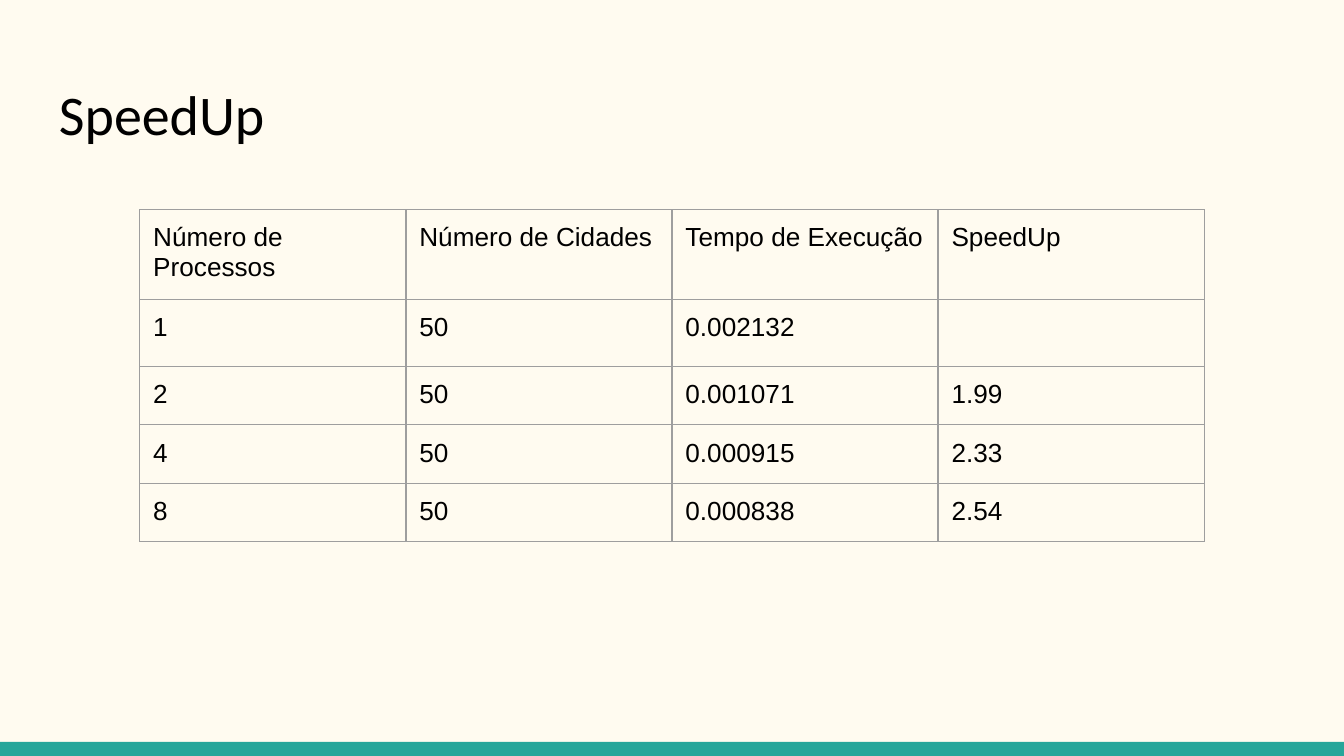
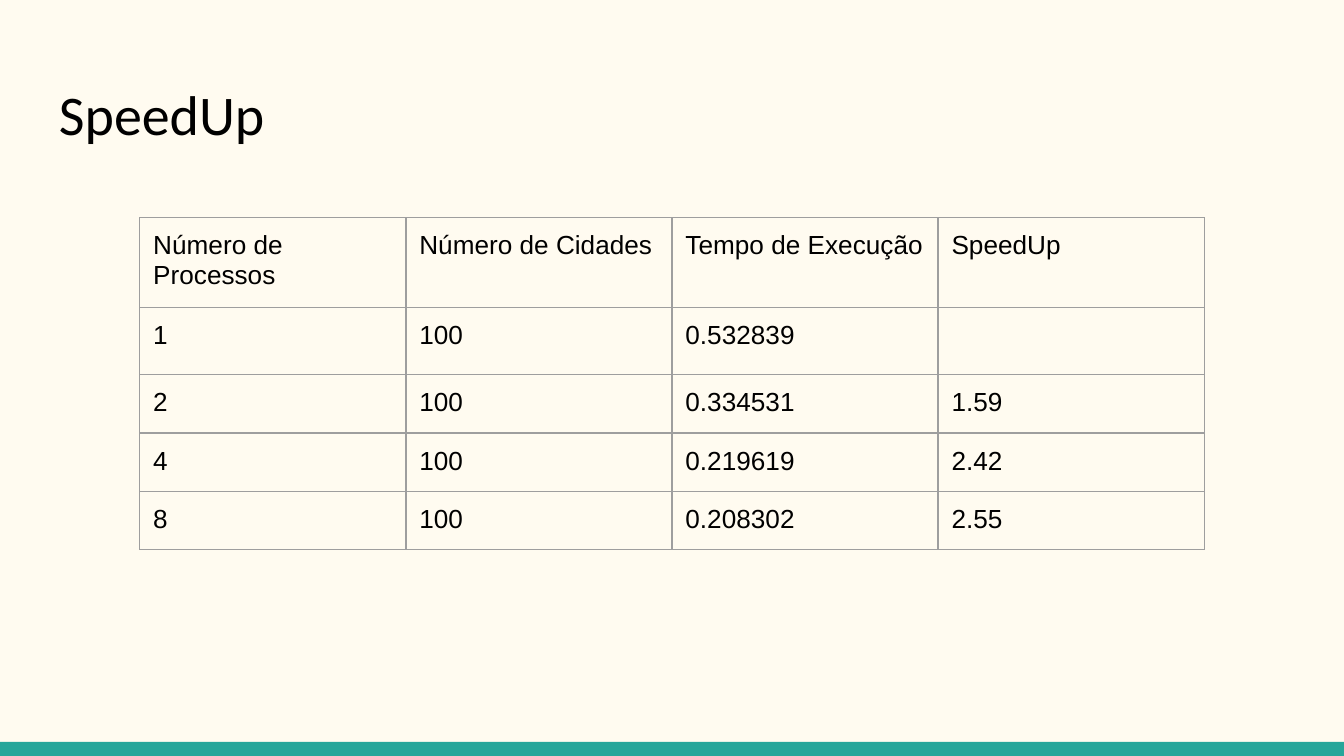
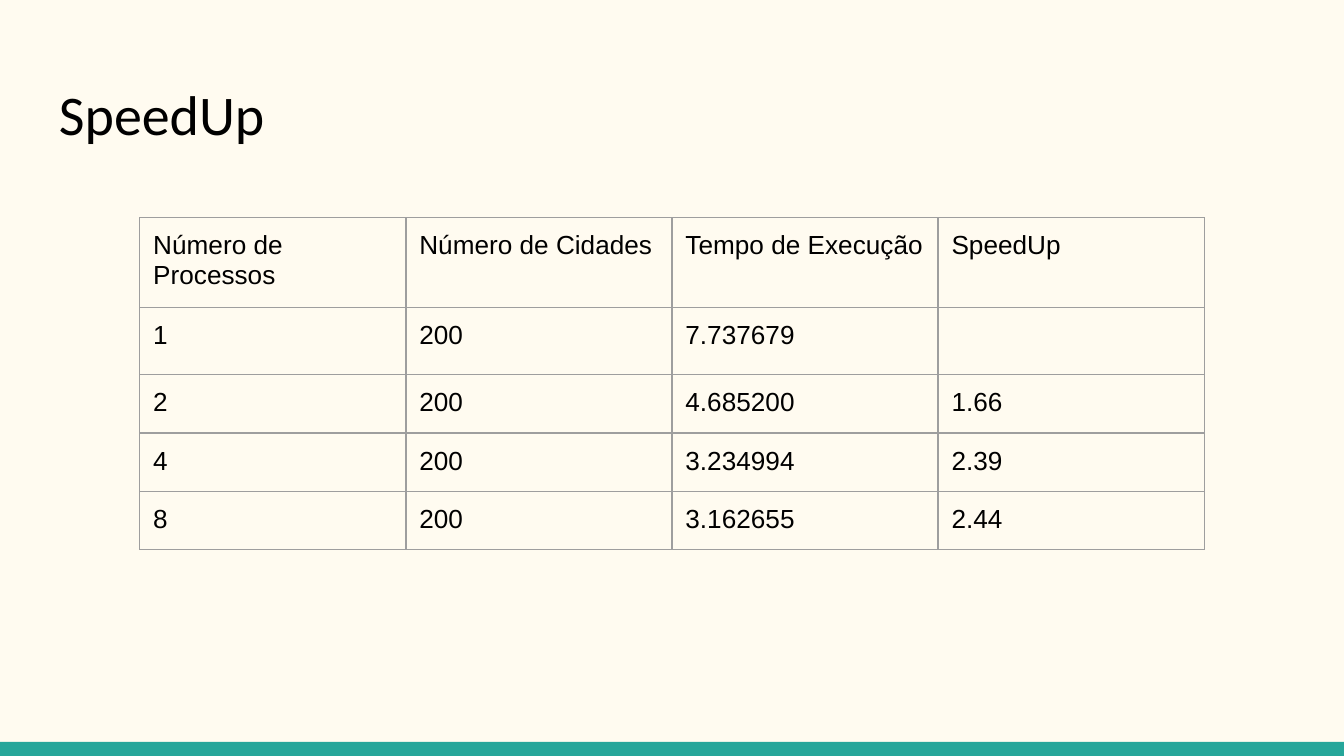
import pptx
import pptx.dml.color
import pptx.enum.shapes
import pptx.enum.text
import pptx.oxml
import pptx.oxml.ns
import pptx.util

Inches = pptx.util.Inches
RGBColor = pptx.dml.color.RGBColor

CREAM = RGBColor(0xFF, 0xFB, 0xF0)
TEAL = RGBColor(0x26, 0xA6, 0x9A)
GREY = RGBColor(0x9E, 0x9E, 0x9E)
BLACK = RGBColor(0, 0, 0)

SLIDE_WIDTH = Inches(10)
SLIDE_HEIGHT = SLIDE_WIDTH * 9 // 16
BAND_TOP = Inches(5.52)
MARGIN = Inches(0.1)
COLUMN_WIDTH = Inches(1.98)
ROW_HEIGHT = Inches(0.42)
BORDER_WIDTH = pptx.util.Pt(0.75)

HEADERS = ("Número de Processos", "Número de Cidades", "Tempo de Execução", "SpeedUp")
PROCESSES = ("1", "2", "4", "8")
RESULTS = (
    (1.56, "50", ("0.002132", "0.001071", "0.000915", "0.000838"), ("", "1.99", "2.33", "2.54")),
    (1.62, "100", ("0.532839", "0.334531", "0.219619", "0.208302"), ("", "1.59", "2.42", "2.55")),
    (1.62, "200", ("7.737679", "4.685200", "3.234994", "3.162655"), ("", "1.66", "2.39", "2.44")),
)


def write_text(frame, text, font="Arial", size=14, color=BLACK):
    frame.word_wrap = True
    paragraph = frame.paragraphs[0]
    paragraph.line_spacing = 1.0
    paragraph.space_before = paragraph.space_after = pptx.util.Pt(0)
    paragraph.font.name = font
    if text:
        run = paragraph.add_run()
        run.text = text
        run.font.name = font
        run.font.size = pptx.util.Pt(size)
        run.font.color.rgb = color


def set_margins(target):
    target.margin_left = target.margin_right = MARGIN
    target.margin_top = target.margin_bottom = MARGIN


def add_band(slide):
    band = slide.shapes.add_shape(
        pptx.enum.shapes.MSO_SHAPE.RECTANGLE,
        0, BAND_TOP, SLIDE_WIDTH, SLIDE_HEIGHT - BAND_TOP,
    )
    band.shadow.inherit = False
    band.fill.solid()
    band.fill.fore_color.rgb = TEAL
    band.line.fill.background()


def add_title(slide, text):
    title = slide.shapes.add_textbox(Inches(0.34), Inches(0.49), Inches(9.32), Inches(0.67))
    frame = title.text_frame
    set_margins(frame)
    frame.vertical_anchor = pptx.enum.text.MSO_ANCHOR.TOP
    write_text(frame, text, font="Calibri", size=30)


def add_borders(cell):
    properties = cell._tc.get_or_add_tcPr()
    for side in ("lnL", "lnR", "lnT", "lnB"):
        properties.append(pptx.oxml.parse_xml(
            f'<a:{side} {pptx.oxml.ns.nsdecls("a")} w="{BORDER_WIDTH}">'
            f'<a:solidFill><a:srgbClr val="{GREY}"/></a:solidFill></a:{side}>'
        ))


def add_results_table(slide, top, rows):
    table = slide.shapes.add_table(
        len(rows), len(HEADERS), Inches(1.04), Inches(top),
        COLUMN_WIDTH * len(HEADERS), ROW_HEIGHT * len(rows),
    ).table
    table.first_row = False
    table.horz_banding = False
    for row_index, row in enumerate(rows):
        for column_index, text in enumerate(row):
            cell = table.cell(row_index, column_index)
            set_margins(cell)
            add_borders(cell)
            cell.fill.background()
            write_text(cell.text_frame, text)


def add_speedup_slide(presentation, top, cities, times, speedups):
    slide = presentation.slides.add_slide(presentation.slide_layouts[6])
    slide.background.fill.solid()
    slide.background.fill.fore_color.rgb = CREAM
    add_band(slide)
    add_title(slide, "SpeedUp")
    measurements = [
        (processes, cities, time, speedup)
        for processes, time, speedup in zip(PROCESSES, times, speedups)
    ]
    add_results_table(slide, top, [HEADERS, *measurements])


def main():
    presentation = pptx.Presentation()
    presentation.slide_width = SLIDE_WIDTH
    presentation.slide_height = SLIDE_HEIGHT
    for top, cities, times, speedups in RESULTS:
        add_speedup_slide(presentation, top, cities, times, speedups)
    presentation.save("out.pptx")


if __name__ == "__main__":
    main()
